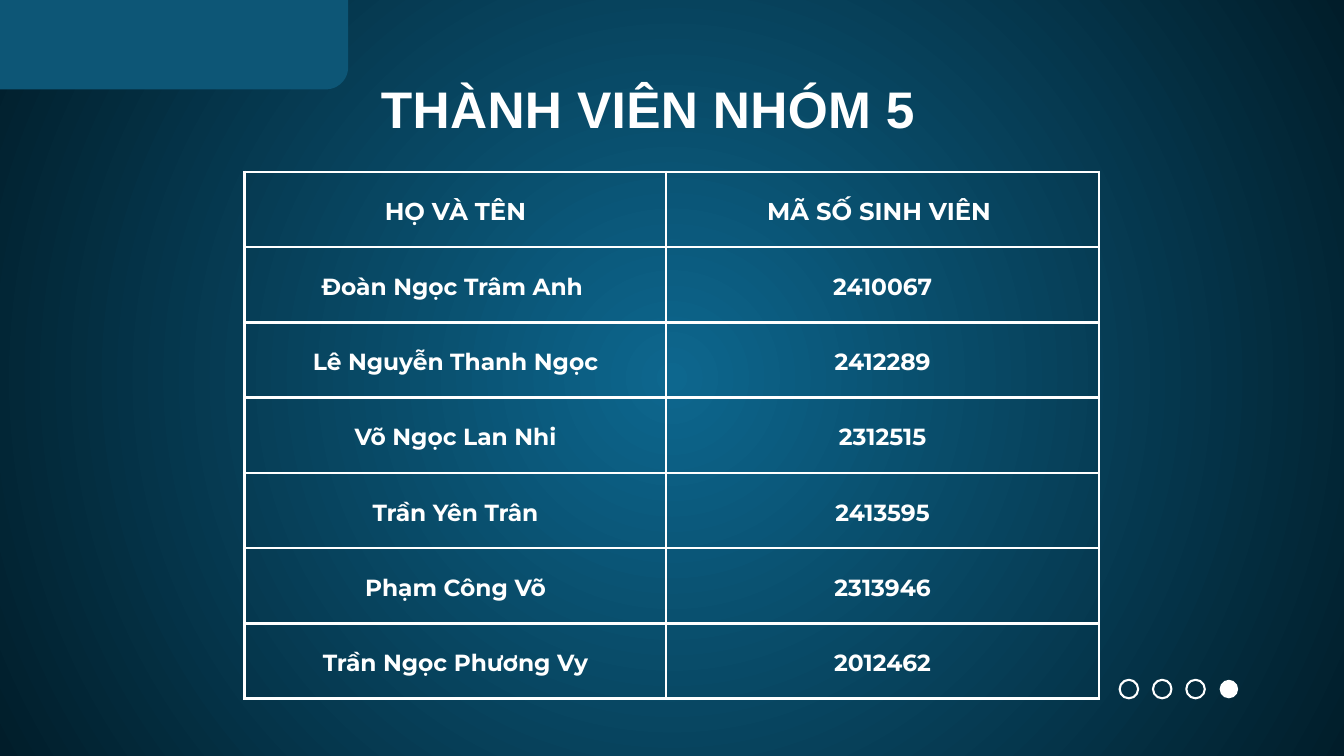
from dataclasses import dataclass

from lxml import etree
from pptx import Presentation
from pptx import util as u
from pptx.dml.color import RGBColor
from pptx.enum import shapes, text
from pptx.oxml.ns import qn

WHITE, PANEL, GLOW, NIGHT = "FFFFFF", "0D5676", "0D678E", "011D2A"
TABLE_LEFT, TABLE_TOP, ROW_HEIGHT = 9.25, 6.5, 2.845
COLUMN_WIDTHS = (15.93, 16.36)
CELL_MARGIN = 0.53
DOT_LEFT, DOT_TOP, DOT_SIZE, DOT_STEP, DOT_COUNT = 42.32, 25.7, 0.7, 1.26, 4


@dataclass
class TextStyle:
    font: str
    size: float
    line_spacing: float
    alignment: text.PP_ALIGN = text.PP_ALIGN.CENTER


@dataclass
class Member:
    name: str
    student_id: str


TITLE_STYLE = TextStyle("Arial", 55.1, 72.7, text.PP_ALIGN.LEFT)
HEADER_STYLE = TextStyle("Montserrat", 26.1, 36.6)
MEMBER_STYLE = TextStyle("Montserrat", 25, 35)

HEADER = Member("HỌ VÀ TÊN", "MÃ SỐ SINH VIÊN ")
MEMBERS = [
    Member("Đoàn Ngọc Trâm Anh ", "2410067"),
    Member("Lê Nguyễn Thanh Ngọc", "2412289"),
    Member("Võ Ngọc Lan Nhi", "2312515"),
    Member("Trần Yên Trân", "2413595"),
    Member("Phạm Công Võ", "2313946"),
    Member("Trần Ngọc Phương Vy", "2012462"),
]


def color(value: str) -> RGBColor:
    return RGBColor.from_string(value)


def write(frame, content: str, style: TextStyle) -> None:
    frame.text = content
    paragraph = frame.paragraphs[0]
    paragraph.alignment = style.alignment
    paragraph.line_spacing = u.Pt(style.line_spacing)
    for run in paragraph.runs:
        run.font.name = style.font
        run.font.size = u.Pt(style.size)
        run.font.bold = True
        run.font.color.rgb = color(WHITE)


def set_margins(target, margin: float) -> None:
    target.margin_left = target.margin_right = u.Cm(margin)
    target.margin_top = target.margin_bottom = u.Cm(margin)


def paint_background(slide) -> None:
    fill = slide.background.fill
    fill.gradient()
    for stop, value in zip(fill.gradient_stops, (GLOW, NIGHT)):
        stop.color.rgb = color(value)
    # Turn the linear gradient into a circular one
    gradient = next(slide.element.iter(qn("a:gradFill")))
    gradient.remove(gradient.find(qn("a:lin")))
    circle = etree.SubElement(gradient, qn("a:path"), path="circle")
    etree.SubElement(circle, qn("a:fillToRect"), l="50000", t="50000", r="50000", b="50000")


def add_panel(slide) -> None:
    panel = slide.shapes.add_shape(shapes.MSO_SHAPE.ROUNDED_RECTANGLE,
                                   u.Cm(-14.91), u.Cm(-5.99), u.Cm(28.07), u.Cm(9.37))
    panel.adjustments[0] = 0.09
    panel.shadow.inherit = False
    panel.fill.solid()
    panel.fill.fore_color.rgb = color(PANEL)
    panel.line.fill.background()


def add_dot(slide, position: int, current: bool) -> None:
    dot = slide.shapes.add_shape(shapes.MSO_SHAPE.OVAL, u.Cm(DOT_LEFT + position * DOT_STEP),
                                 u.Cm(DOT_TOP), u.Cm(DOT_SIZE), u.Cm(DOT_SIZE))
    dot.shadow.inherit = False
    if current:
        dot.fill.solid()
        dot.fill.fore_color.rgb = color(WHITE)
        dot.line.fill.background()
    else:
        dot.fill.background()
        dot.line.color.rgb = color(WHITE)
        dot.line.width = u.Pt(2.25)


def add_borders(cell) -> None:
    properties = cell._tc.get_or_add_tcPr()
    for index, side in enumerate(("a:lnL", "a:lnR", "a:lnT", "a:lnB")):
        line = etree.Element(qn(side), w=str(u.Pt(3)))
        solid = etree.SubElement(line, qn("a:solidFill"))
        etree.SubElement(solid, qn("a:srgbClr"), val=WHITE)
        properties.insert(index, line)


def add_member_table(slide) -> None:
    rows = [HEADER, *MEMBERS]
    table = slide.shapes.add_table(len(rows), len(COLUMN_WIDTHS), u.Cm(TABLE_LEFT), u.Cm(TABLE_TOP),
                                   u.Cm(sum(COLUMN_WIDTHS)), u.Cm(ROW_HEIGHT * len(rows))).table
    table.first_row = table.horz_banding = False
    for column, width in zip(table.columns, COLUMN_WIDTHS):
        column.width = u.Cm(width)
    for row, member in zip(table.rows, rows):
        row.height = u.Cm(ROW_HEIGHT)
        style = HEADER_STYLE if member is HEADER else MEMBER_STYLE
        for cell, content in zip(row.cells, (member.name, member.student_id)):
            write(cell.text_frame, content, style)
            set_margins(cell, CELL_MARGIN)
            cell.vertical_anchor = text.MSO_ANCHOR.MIDDLE
            cell.fill.background()
            add_borders(cell)


def format_title(slide) -> None:
    title = slide.shapes.title
    title.left, title.top, title.width, title.height = u.Cm(14.4), u.Cm(2.69), u.Cm(22.02), u.Cm(2.46)
    frame = title.text_frame
    write(frame, "THÀNH VIÊN NHÓM 5", TITLE_STYLE)
    set_margins(frame, 0)
    frame.word_wrap = True
    frame.vertical_anchor = text.MSO_ANCHOR.TOP
    frame.auto_size = text.MSO_AUTO_SIZE.SHAPE_TO_FIT_TEXT
    frame.paragraphs[0].runs[0].font._element.set("spc", "40")


def main() -> None:
    presentation = Presentation()
    presentation.slide_width, presentation.slide_height = u.Cm(50.8), u.Cm(28.58)
    slide = presentation.slides.add_slide(presentation.slide_layouts[5])

    # Backdrop
    paint_background(slide)
    add_panel(slide)

    # Page dots, the last one current
    for position in range(DOT_COUNT):
        add_dot(slide, position, position == DOT_COUNT - 1)

    # Content
    add_member_table(slide)
    format_title(slide)
    presentation.save("out.pptx")


if __name__ == "__main__":
    main()
